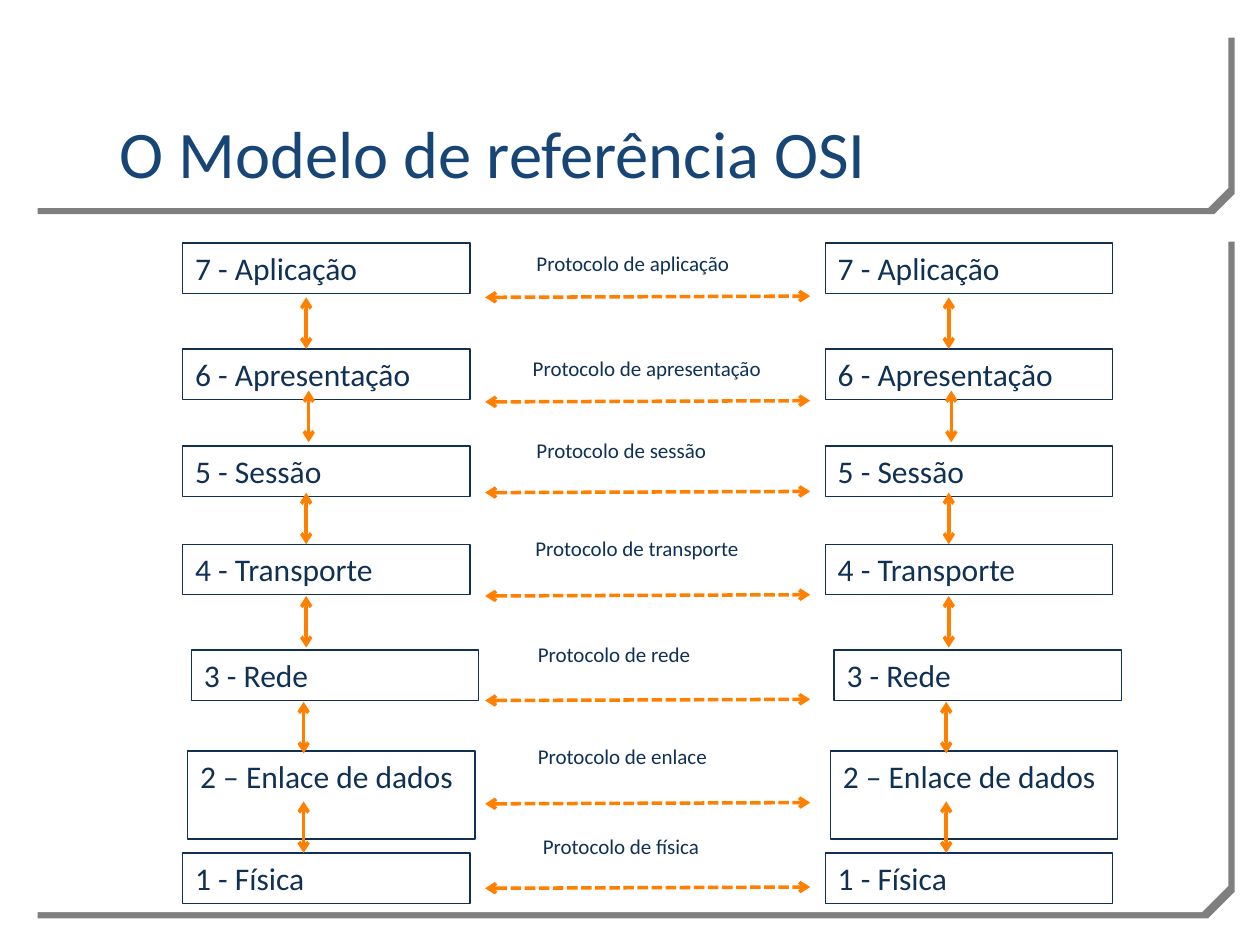
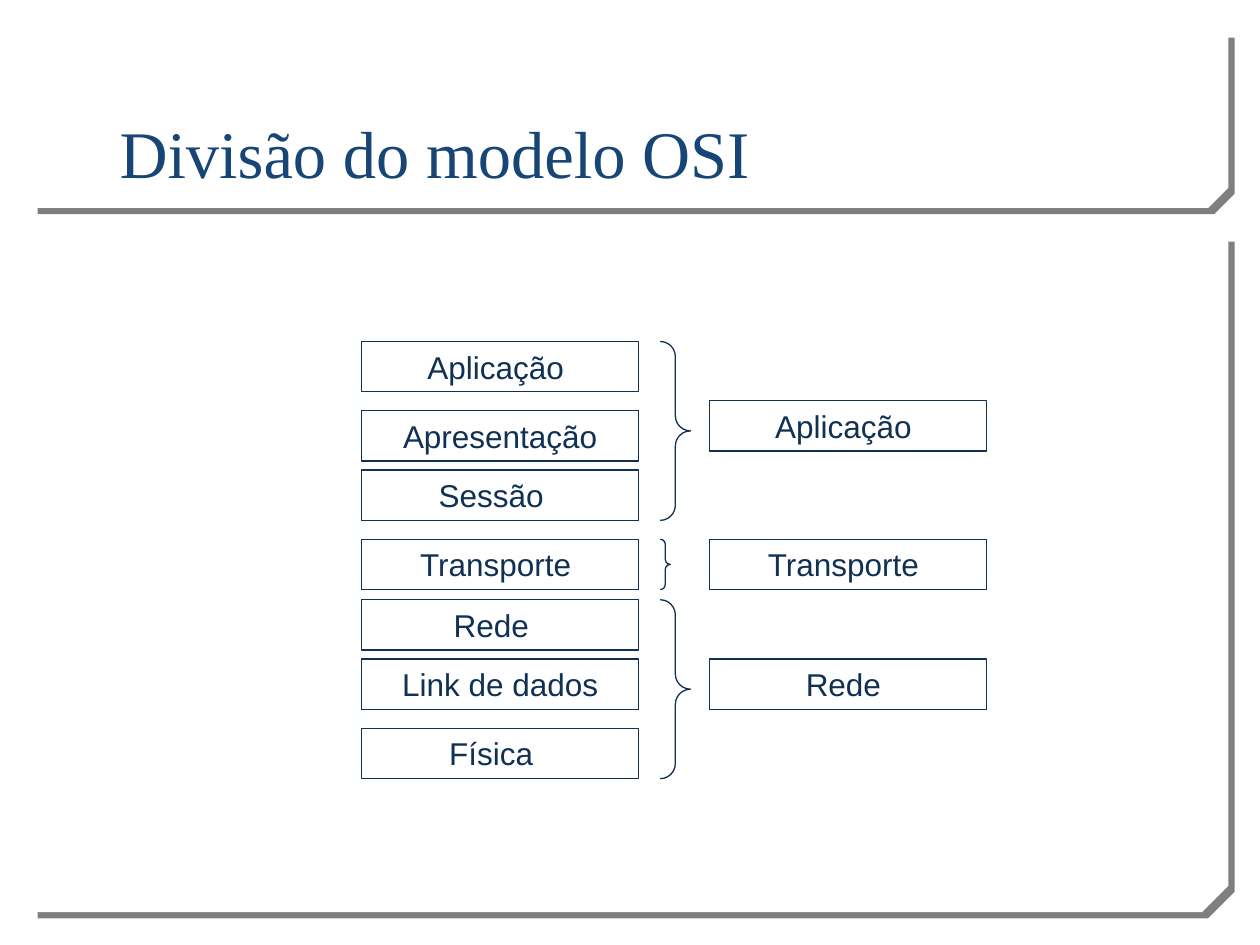
from lxml import etree
from pptx import Presentation
from pptx import util as u
from pptx.dml.color import RGBColor
from pptx.enum import dml, shapes, text
from pptx.oxml.ns import qn

PX = 9144
NAVY = RGBColor(0x10, 0x31, 0x54)
TITLE_BLUE = RGBColor(0x17, 0x45, 0x76)
ORANGE = RGBColor(0xFF, 0x7F, 0x01)
WHITE = RGBColor(0xFF, 0xFF, 0xFF)

HEADER_PANEL = (25, 25, 975, 165, 16)
BODY_PANEL = (25, 187, 975, 724, 21)

HOSTS = (145, 655)
LAYERS = [
    ("7 - Aplicação", 0, 193, 40),
    ("6 - Apresentação", 0, 277, 40),
    ("5 - Sessão", 0, 354, 40),
    ("4 - Transporte", 0, 432, 40),
    ("3 - Rede", 7, 516, 40),
    ("2 – Enlace de dados", 4, 596, 70),
    ("1 - Física", 0, 677, 40),
]
LAYER_STEPS = [(98, 236), (100, 310), (98, 391), (98, 473), (96, 557), (96, 636)]
PROTOCOLS = [
    ("aplicação", 416, 194, 236),
    ("apresentação", 413, 277, 319),
    ("sessão", 416, 342, 391),
    ("transporte", 415, 420, 473),
    ("rede", 417, 504, 556),
    ("enlace", 417, 585, 638),
    ("física", 421, 657, 705),
]

OSI_LAYERS = [
    ("Aplicação", 271, 7),
    ("Apresentação", 326, 0),
    ("Sessão", 373, 14),
    ("Transporte", 428, 7),
    ("Rede", 476, 14),
    ("Link de dados", 523, 0),
    ("Física", 578, 14),
]
GROUPS = [("Aplicação", 318, 7), ("Transporte", 428, 7), ("Rede", 523, 7)]
BRACES = [(271, 24, 142), (428, 8, 40), (476, 24, 142)]


class Deck:
    def __init__(self):
        self.prs = Presentation()
        self.prs.slide_width, self.prs.slide_height = self.px(1000, 750)
        self.slide = None

    def px(self, *lengths):
        return [u.Emu(length * PX) for length in lengths]

    def new_slide(self, title, font):
        self.slide = self.prs.slides.add_slide(self.prs.slide_layouts[6])
        self.panel(*BODY_PANEL)
        self.panel(*HEADER_PANEL)
        self.label(title, (85, 32, 829, 125), font, 38, TITLE_BLUE, text.MSO_ANCHOR.BOTTOM)

    def panel(self, left, top, right, bottom, cut):
        outline = self.slide.shapes.build_freeform(left, bottom, PX)
        outline.add_line_segments([
            (right - cut, bottom), (right, bottom - cut), (right, top),
            (left + cut, top), (left, top + cut),
        ])
        panel = outline.convert_to_shape()
        panel.fill.solid()
        panel.fill.fore_color.rgb = WHITE
        panel.line.fill.background()
        panel.shadow.inherit = False
        effects = panel._element.spPr.find(qn("a:effectLst"))
        shadow = etree.SubElement(effects, qn("a:outerShdw"), blurRad="0",
                                  dist=str(u.Pt(5)), dir="2700000", rotWithShape="0")
        black = etree.SubElement(shadow, qn("a:srgbClr"), val="000000")
        etree.SubElement(black, qn("a:alpha"), val="50000")

    def set_words(self, shape, words, font, size, color, align=text.PP_ALIGN.LEFT,
                  anchor=text.MSO_ANCHOR.TOP, right_shift=0):
        frame = shape.text_frame
        frame.text = words
        frame.word_wrap = True
        frame.vertical_anchor = anchor
        frame.margin_left, frame.margin_right = self.px(10, 10 + right_shift)
        frame.margin_top, frame.margin_bottom = self.px(5, 5)
        paragraph = frame.paragraphs[0]
        paragraph.alignment = align
        for run in paragraph.runs:
            run.font.name = font
            run.font.size = u.Pt(size)
            run.font.color.rgb = color

    def label(self, words, place, font, size, color, anchor=text.MSO_ANCHOR.TOP):
        label = self.slide.shapes.add_textbox(*self.px(*place))
        self.set_words(label, words, font, size, color, anchor=anchor)

    def outlined(self, kind, place):
        shape = self.slide.shapes.add_shape(kind, *self.px(*place))
        shape.shadow.inherit = False
        shape.fill.background()
        shape.line.color.rgb = NAVY
        shape.line.width = u.Pt(0.75)
        return shape

    def box(self, words, place, font, align=text.PP_ALIGN.LEFT, right_shift=0):
        box = self.outlined(shapes.MSO_SHAPE.RECTANGLE, place)
        self.set_words(box, words, font, 18, NAVY, align, right_shift=right_shift)

    def brace(self, place):
        brace = self.outlined(shapes.MSO_SHAPE.RIGHT_BRACE, place)
        brace.adjustments[0] = 0.5

    def arrow(self, start, end, dashed=False):
        arrow = self.slide.shapes.add_connector(
            shapes.MSO_CONNECTOR.STRAIGHT, *self.px(*start, *end))
        arrow.line.color.rgb = ORANGE
        arrow.line.width = u.Pt(2)
        if dashed:
            arrow.line.dash_style = dml.MSO_LINE.SQUARE_DOT
        properties = arrow._element.spPr
        for tip in ("a:headEnd", "a:tailEnd"):
            etree.SubElement(properties.find(qn("a:ln")), qn(tip), type="arrow")
        etree.SubElement(properties, qn("a:effectLst"))


def reference_model(deck):
    deck.new_slide("O Modelo de referência OSI", "Calibri")
    for host in HOSTS:
        for layer, indent, top, height in LAYERS:
            deck.box(layer, (host + indent, top, 228, height), "Calibri")
        for offset, top in LAYER_STEPS:
            deck.arrow((host + offset, top), (host + offset, top + 41))
    for protocol, left, top, arrow_y in PROTOCOLS:
        deck.arrow((385, arrow_y), (643, arrow_y - 1), dashed=True)
        deck.label(f"Protocolo de {protocol}", (left, top, 203, 30), "Calibri", 12, NAVY)


def model_division(deck):
    deck.new_slide("Divisão do modelo OSI", "Times New Roman")
    for left, column in ((287, OSI_LAYERS), (563, GROUPS)):
        for name, top, shift in column:
            deck.box(name, (left, top, 220, 40), "Arial", text.PP_ALIGN.CENTER, shift)
    for top, width, height in BRACES:
        deck.brace((524, top, width, height))


def main():
    deck = Deck()
    reference_model(deck)
    model_division(deck)
    deck.prs.save("out.pptx")


if __name__ == "__main__":
    main()
